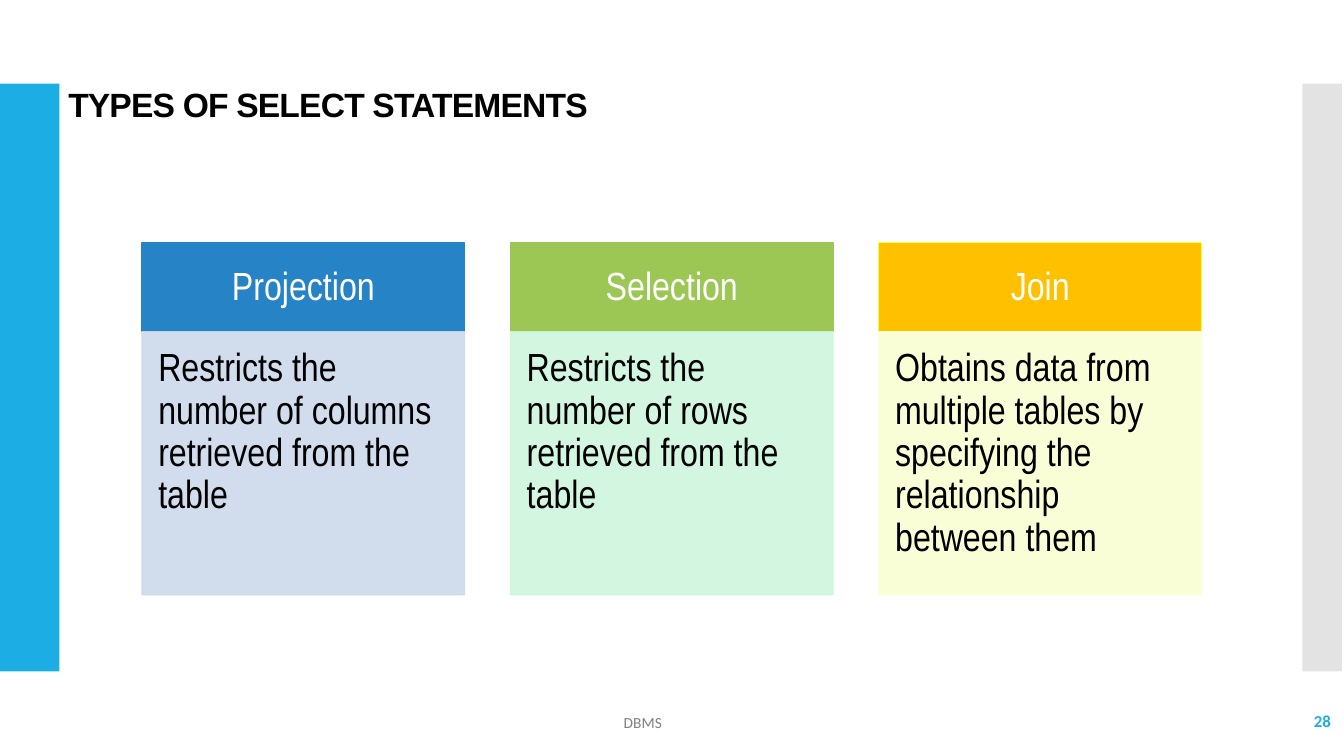
from lxml.etree import SubElement
from pptx import Presentation
from pptx.dml.color import RGBColor
from pptx.enum.shapes import MSO_SHAPE
from pptx.enum.text import MSO_ANCHOR, MSO_AUTO_SIZE, PP_ALIGN
from pptx.oxml.ns import qn
from pptx.util import Cm, Pt

CARDS = [
    ("Projection", "Restricts the number of columns retrieved from the table",
     "2683C6", "2683C6", "CDD9EA"),
    ("Selection", "Restricts the number of rows retrieved from the table",
     "9CC755", "9CC755", "CEF6DC"),
    ("Join", "Obtains data from multiple tables by specifying the relationship between them",
     "FFC000", "FEFF4A", "FAFED2"),
]


def paint(fill, color, opacity=100):
    fill.solid()
    fill.fore_color.rgb = RGBColor.from_string(color)
    if opacity < 100:
        for node in fill._xPr.iter(qn("a:srgbClr")):
            SubElement(node, qn("a:alpha")).set("val", str(opacity * 1000))


def add_panel(page, box, color, opacity=100, outline=None):
    panel = page.shapes.add_shape(MSO_SHAPE.RECTANGLE, *map(Cm, box))
    panel.shadow.inherit = False
    paint(panel.fill, color, opacity)
    if outline:
        panel.line.width = Pt(0.85)
        paint(panel.line.fill, outline, opacity)
    else:
        panel.line.fill.background()
    return panel


def write(shape, text, font, size, color, align=PP_ALIGN.LEFT, anchor=MSO_ANCHOR.MIDDLE,
          insets=(0.25, 0.13, 0.25, 0.13), bold=False, line_spacing=1.0):
    frame = shape.text_frame
    frame.word_wrap = True
    frame.auto_size = MSO_AUTO_SIZE.NONE
    frame.vertical_anchor = anchor
    (frame.margin_left, frame.margin_top,
     frame.margin_right, frame.margin_bottom) = map(Cm, insets)
    para = frame.paragraphs[0]
    para.alignment = align
    para.line_spacing = line_spacing
    span = para.add_run()
    span.text = text
    span.font.name = font
    span.font.size = Pt(size)
    span.font.bold = bold
    span.font.color.rgb = RGBColor.from_string(color)
    return span


def add_side_bars(page, box):
    left, top, width, height = box
    right_width = 1
    add_panel(page, (left, top, 1.5, height), "1CADE4")
    add_panel(page, (left + width - right_width, top, right_width, height), "C8C8C8", 50)


def add_title(page, box):
    title = page.shapes.title
    title.left, title.top, title.width, title.height = map(Cm, box)
    span = write(title, "TYPES OF SELECT STATEMENTS", "Arial", 24, "000000",
                 bold=True, line_spacing=0.9)
    span.font._element.set("spc", "-60")


def add_card(page, box, heading, text, head_color, head_outline, body_color):
    left, top, width, height = box
    head_height = 2.24
    head = add_panel(page, (left, top, width, head_height), head_color, outline=head_outline)
    write(head, heading, "Arial Narrow", 28, "FFFFFF", PP_ALIGN.CENTER,
          insets=(0.56, 0.3, 0.56, 0.3), line_spacing=0.9)
    body = add_panel(page, (left, top + head_height, width, height - head_height),
                     body_color, 90, body_color)
    write(body, text, "Arial Narrow", 28, "000000", anchor=MSO_ANCHOR.TOP,
          insets=(0.41, 0.41, 0.56, 0.61), line_spacing=0.9)


def add_cards(page, box):
    left, top, width, height = box
    card_width = 8.13
    step = (width - card_width) / (len(CARDS) - 1)
    for index, card in enumerate(CARDS):
        add_card(page, (left + index * step, top, card_width, height), *card)


def add_footer(page, box):
    left, top, width, height = box
    number_width = 4.25
    number = page.shapes.add_textbox(
        *map(Cm, (left + width - number_width, top, number_width, height)))
    write(number, "28", "Calibri", 12, "1CADE4", PP_ALIGN.RIGHT, bold=True)
    label = page.shapes.add_textbox(*map(Cm, (left + 8, top + 0.05, 16.4, height)))
    write(label, "DBMS", "Calibri", 11, "808080", PP_ALIGN.CENTER)


def main():
    deck = Presentation()
    deck.slide_width, deck.slide_height = Cm(33.87), Cm(19.05)
    page = deck.slides.add_slide(deck.slide_layouts[5])
    add_side_bars(page, (0, 2.11, 33.82, 14.81))
    add_title(page, (1.47, 2.18, 26.52, 1.02))
    add_cards(page, (3.58, 6.12, 26.7, 8.87))
    add_footer(page, (0, 17.65, 33.79, 1.02))
    deck.save("out.pptx")


if __name__ == "__main__":
    main()
